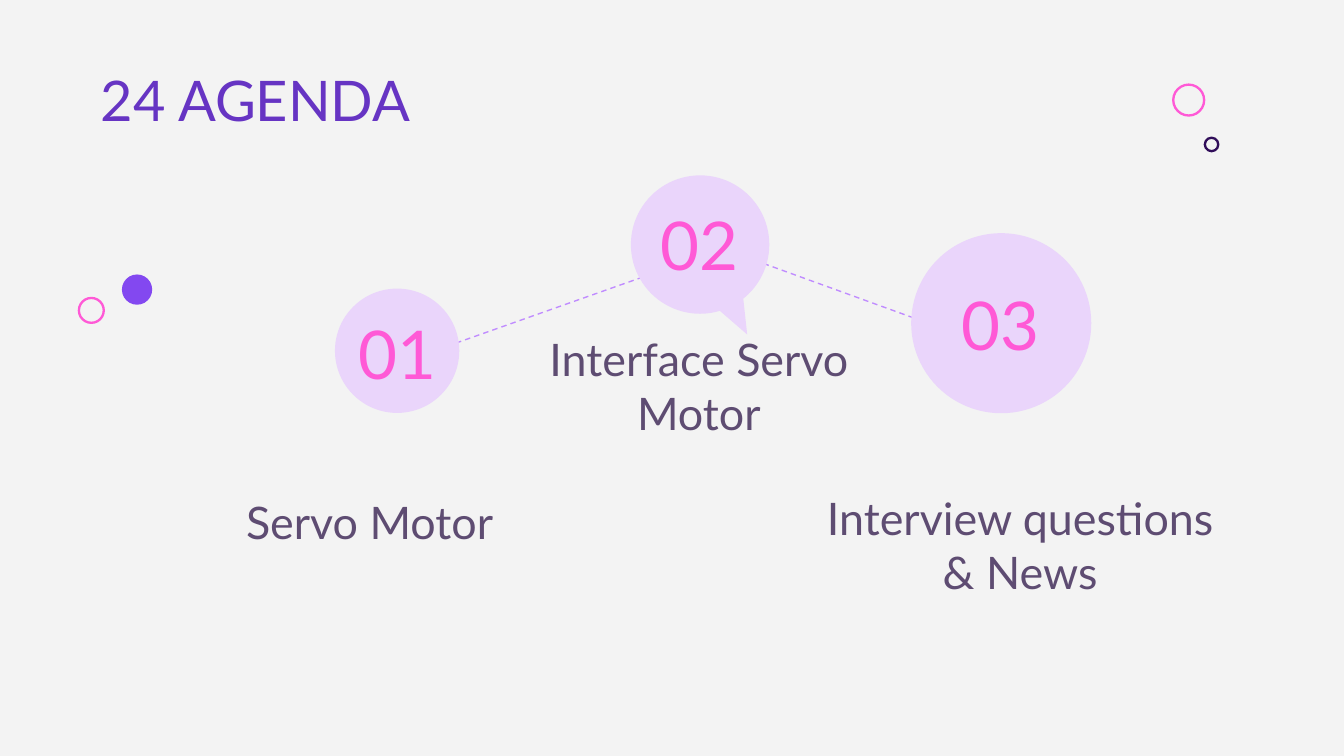
from lxml import etree
from pptx import Presentation
from pptx import util as u
from pptx.dml.color import RGBColor
from pptx.enum import dml, shapes, text
from pptx.oxml.ns import qn

COLS, ROWS = 100, 56.25  # square cells, a tenth of an inch each
CELL = u.Inches(0.1)
PINK, DARK, VIOLET = "FF59D6", "300D59", "8348F0"
PALE, DASH, HEAD, BODY = "EAD5FB", "C08CFF", "6634C3", "5E4C72"
OVAL = shapes.MSO_SHAPE.OVAL
CALLOUT = shapes.MSO_SHAPE.OVAL_CALLOUT


def tint(code):
    return RGBColor.from_string(code)


def cells(*nums):
    return [round(n * CELL) for n in nums]


def write(box, words, size=24, color=BODY, align="CENTER", anchor="MIDDLE"):
    frame = box.text_frame
    frame.word_wrap = True
    frame.auto_size = text.MSO_AUTO_SIZE.NONE
    frame.vertical_anchor = getattr(text.MSO_ANCHOR, anchor)
    for side in ("left", "top", "right", "bottom"):
        setattr(frame, "margin_" + side, u.Inches(0.1))
    frame.text = words
    para = frame.paragraphs[0]
    para.alignment = getattr(text.PP_ALIGN, align)
    para.font.name = "Lato"
    para.font.size = u.Pt(size)
    para.font.color.rgb = tint(color)


class Deck:
    def __init__(self):
        self.prs = Presentation()
        self.prs.slide_width, self.prs.slide_height = cells(COLS, ROWS)
        self.slide = self.prs.slides.add_slide(self.prs.slide_layouts[5])
        fill = self.slide.background.fill
        fill.solid()
        fill.fore_color.rgb = tint("F3F3F3")

    def title(self, words, *area):
        box = self.slide.shapes.title
        box.left, box.top, box.width, box.height = cells(*area)
        write(box, words, size=30, color=HEAD, align="LEFT", anchor="TOP")

    def label(self, words, *area, **style):
        write(self.slide.shapes.add_textbox(*cells(*area)), words, **style)

    def disc(self, x, y, size, fill=None, line=None, kind=OVAL):
        """Draw a round shape centred on x, y."""
        area = cells(x - size / 2, y - size / 2, size, size)
        shape = self.slide.shapes.add_shape(kind, *area)
        shape.shadow.inherit = False
        if fill:
            shape.fill.solid()
            shape.fill.fore_color.rgb = tint(fill)
        else:
            shape.fill.background()
        if line:
            shape.line.color.rgb = tint(line)
            shape.line.width = u.Pt(1.25)
        else:
            shape.line.fill.background()
        return shape

    def link(self, *ends):
        line = self.slide.shapes.add_connector(
            shapes.MSO_CONNECTOR.STRAIGHT, *cells(*ends))
        line.line.color.rgb = tint(DASH)
        line.line.width = u.Pt(0.75)
        line.line.dash_style = dml.MSO_LINE.DASH
        etree.SubElement(line._element.spPr, qn("a:effectLst"))


def main():
    deck = Deck()
    deck.title("24 AGENDA", 6.5, 3.9, 73.6, 7.1)

    for x, y, size, color in [(88.45, 7.45, 2.3, PINK), (90.15, 10.75, 1, DARK),
                              (6.8, 23.1, 1.85, PINK)]:
        deck.disc(x, y, size, line=color)
    deck.disc(10.2, 21.55, 2.25, fill=VIOLET)

    deck.link(52.1, 17.9, 73.9, 25.8)
    deck.link(29.2, 27.2, 52.4, 19)

    # topic, its area, bubble centre and size, number centre, bubble shape
    steps = [
        ("Servo Motor", (16.15, 32.5, 22.7, 9.3),
         (29.55, 26.1, 9.25), (29.55, 26.25), OVAL),
        ("Interface Servo Motor", (36.85, 26.6, 30.3, 7.1),
         (52.1, 18.2, 10.3), (52.05, 18.15), CALLOUT),
        ("Interview questions & News", (60.4, 35.95, 31, 9.6),
         (74.5, 24.05, 13.4), (74.45, 24.1), OVAL),
    ]
    for num, (topic, area, ring, (x, y), kind) in enumerate(steps, 1):
        bubble = deck.disc(*ring, fill=PALE, kind=kind)
        if kind == CALLOUT:
            bubble.adjustments[0], bubble.adjustments[1] = 0.34, 0.65
        deck.label(f"{num:02}", x - 6, y - 3.15, 12, 6.3, size=36, color=PINK)
        deck.label(topic, *area, anchor="BOTTOM")

    deck.prs.save("out.pptx")


if __name__ == "__main__":
    main()
